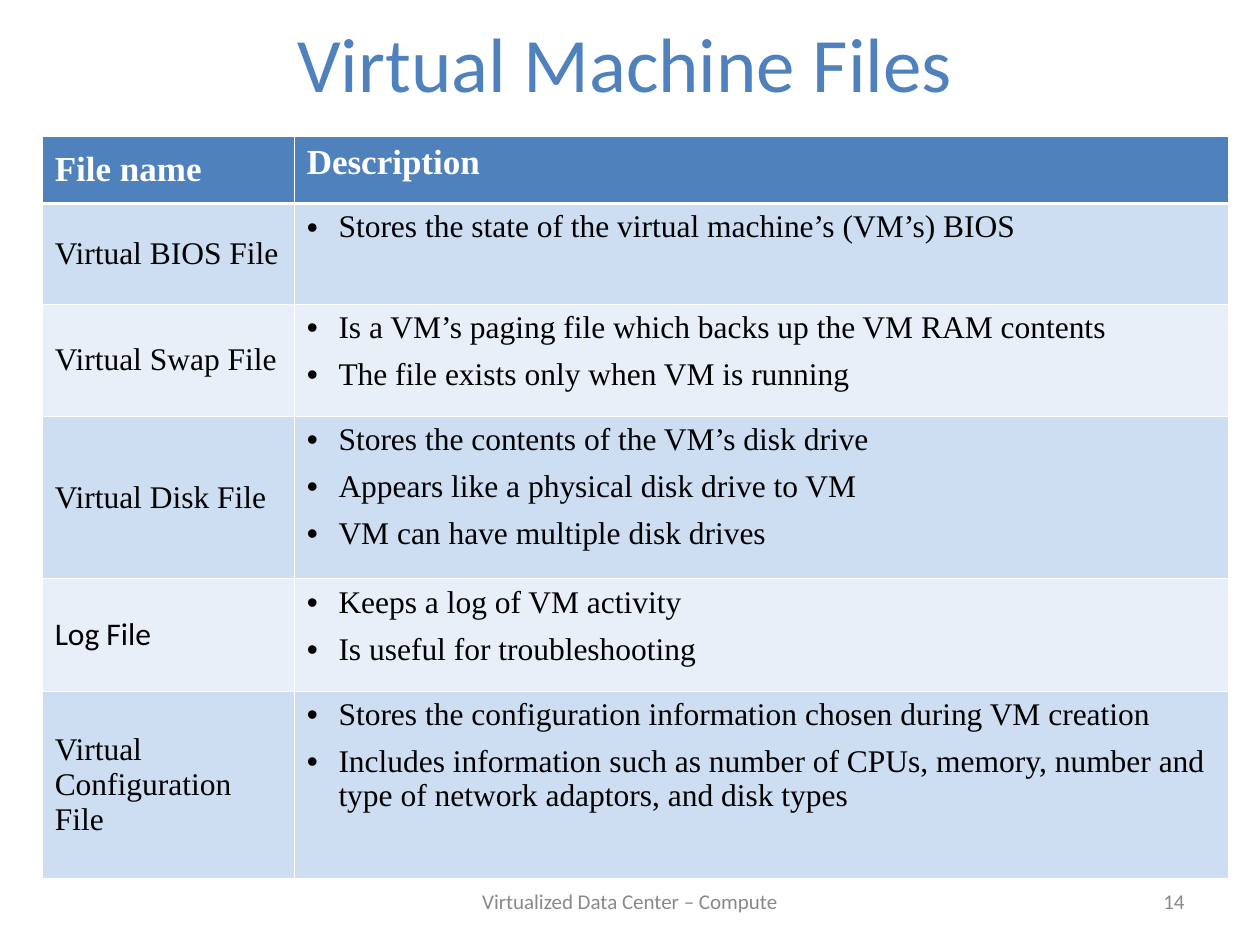
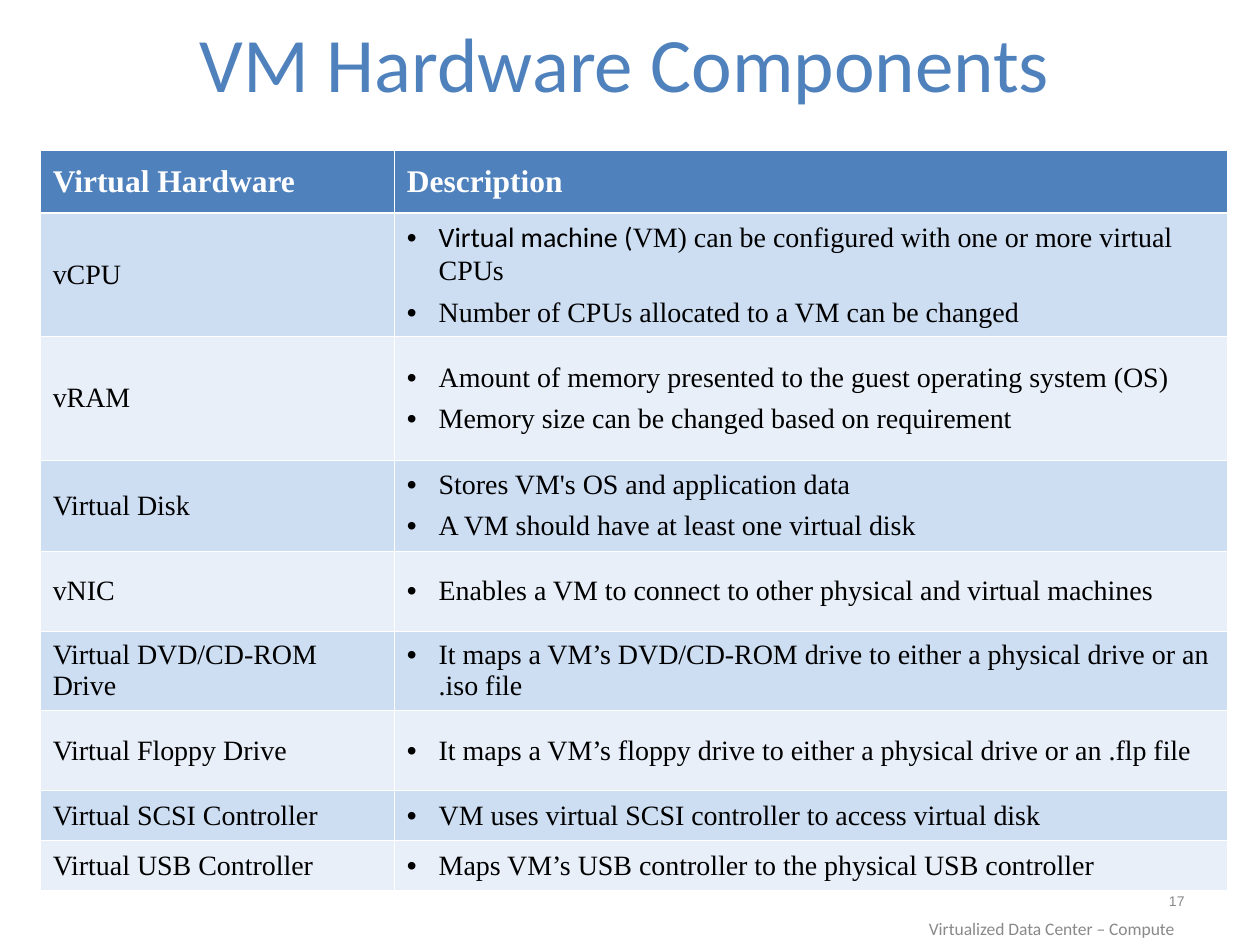
from lxml import etree
from pptx import Presentation
from pptx.dml.color import RGBColor
from pptx.enum.text import MSO_ANCHOR, PP_ALIGN
from pptx.oxml.ns import qn
from pptx.util import Cm, Pt

MIDDLE, TOP, BOTTOM = MSO_ANCHOR.MIDDLE, MSO_ANCHOR.TOP, MSO_ANCHOR.BOTTOM
LEFT, CENTER, RIGHT = PP_ALIGN.LEFT, PP_ALIGN.CENTER, PP_ALIGN.RIGHT

SANS, SERIF = "Calibri", "Times New Roman"
COLORS = {
    "accent": "4F81BD",
    "header_text": "FFFFFF",
    "body_text": "000000",
    "footer": "898989",
    "border": "FFFFFF",
    "band_dark": "CDDDF2",
    "band_light": "E8EFF9",
}
TITLE_BOX = (0.85, 0.2, 23.5, 2.1)
NUMBER_BOX = (18.2, 17.65, 5.93, 1.02)
FOOTER_TEXT = "Virtualized Data Center – Compute"
BULLET_INDENT = Cm(0.64)
THIN, THICK = Pt(0.45), Pt(1.47)

SLIDES = [
    {
        "title": "Virtual Machine Files",
        "position": (0.85, 2.75),
        "columns": (5.08, 18.84),
        "header": ("File name", "Description"),
        "header_height": 1.35,
        "header_size": 20,
        "body_size": 18,
        "space_before": 6.8,
        "description_anchor": TOP,
        "rows": [
            (2.03, "Virtual BIOS File", ["Stores the state of the virtual machine’s (VM’s) BIOS"]),
            (2.26, "Virtual Swap File", [
                "Is a VM’s paging file which backs up the VM RAM contents",
                "The file exists only when VM is running",
            ]),
            (3.28, "Virtual Disk File", [
                "Stores the contents of the VM’s disk drive",
                "Appears like a physical disk drive to VM",
                "VM can have multiple disk drives",
            ]),
            (2.26, [("Log File", SANS)], [
                "Keeps a log of VM activity",
                "Is useful for troubleshooting",
            ]),
            (3.78, "Virtual Configuration File", [
                "Stores the configuration information chosen during VM creation",
                "Includes information such as number of CPUs, memory, number and type of network "
                "adaptors, and disk types",
            ]),
        ],
        "number": ("14", 12, SANS),
        "footer": ((8.68, 17.65, 8.04, 1.02), 12, CENTER, MIDDLE),
    },
    {
        "title": "VM Hardware Components",
        "position": (0.81, 3.03),
        "columns": (7.14, 16.79),
        "header": ("Virtual Hardware", "Description"),
        "header_height": 1.26,
        "header_size": 18,
        "body_size": 16,
        "space_before": 6,
        "description_anchor": MIDDLE,
        "rows": [
            (2.49, "vCPU", [
                [("Virtual machine (", SANS),
                 ("VM) can be configured with one or more virtual CPUs", SERIF)],
                "Number of CPUs allocated to a VM can be changed",
            ]),
            (2.49, "vRAM", [
                "Amount of memory presented to the guest operating system (OS)",
                "Memory size can be changed based on requirement",
            ]),
            (1.83, "Virtual Disk", [
                "Stores VM's OS and application data",
                "A VM should have at least one virtual disk",
            ]),
            (1.61, "vNIC", ["Enables a VM to connect to other physical and virtual machines"]),
            (1.61, "Virtual DVD/CD-ROM Drive", [
                "It maps a VM’s DVD/CD-ROM drive to either a physical drive or an .iso file",
            ]),
            (1.61, "Virtual Floppy Drive", [
                "It maps a VM’s floppy drive to either a physical drive or an .flp file",
            ]),
            (1.01, "Virtual SCSI Controller", [
                "VM uses virtual SCSI controller to access virtual disk",
            ]),
            (1.01, "Virtual USB Controller", [
                "Maps VM’s USB controller to the physical USB controller",
            ]),
        ],
        "number": ("17", 8, "Arial"),
        "footer": ((12.28, 18.42, 11.64, 0.64), 10, RIGHT, BOTTOM),
    },
]


def write_paragraph(paragraph, content, size, color, alignment=LEFT, font=SERIF, bold=False):
    paragraph.alignment = alignment
    runs = [(content, font)] if isinstance(content, str) else content
    for text, run_font in runs:
        run = paragraph.add_run()
        run.text = text
        run.font.name = run_font
        run.font.size = Pt(size)
        run.font.bold = bold
        run.font.color.rgb = RGBColor.from_string(COLORS[color])


def style_cell(cell, fill, anchor, top=THIN, bottom=THIN):
    cell.vertical_anchor = anchor
    properties = cell._tc.get_or_add_tcPr()
    for side, width in (("lnL", THIN), ("lnR", THIN), ("lnT", top), ("lnB", bottom)):
        line = etree.SubElement(properties, qn(f"a:{side}"), w=str(int(width)))
        line_fill = etree.SubElement(line, qn("a:solidFill"))
        etree.SubElement(line_fill, qn("a:srgbClr"), val=COLORS["border"])
    cell.fill.solid()
    cell.fill.fore_color.rgb = RGBColor.from_string(COLORS[fill])


presentation = Presentation()
presentation.slide_width = Cm(25.4)
presentation.slide_height = Cm(19.05)

for page in SLIDES:
    slide = presentation.slides.add_slide(presentation.slide_layouts[6])

    heights = [page["header_height"]] + [row[0] for row in page["rows"]]
    left, top = page["position"]
    table = slide.shapes.add_table(
        len(heights), 2, Cm(left), Cm(top), Cm(sum(page["columns"])), Cm(sum(heights))
    ).table
    table.first_row = False
    table.horz_banding = False
    for column, width in zip(table.columns, page["columns"]):
        column.width = Cm(width)
    for table_row, height in zip(table.rows, heights):
        table_row.height = Cm(height)

    for index, heading in enumerate(page["header"]):
        cell = table.cell(0, index)
        anchor = page["description_anchor"] if index else MIDDLE
        style_cell(cell, "accent", anchor, bottom=THICK)
        write_paragraph(cell.text_frame.paragraphs[0], heading, page["header_size"],
                        "header_text", bold=True)

    for index, (height, name, descriptions) in enumerate(page["rows"], 1):
        fill = "band_dark" if index % 2 else "band_light"
        top_border = THICK if index == 1 else THIN
        name_cell, description_cell = table.cell(index, 0), table.cell(index, 1)
        style_cell(name_cell, fill, MIDDLE, top=top_border)
        style_cell(description_cell, fill, page["description_anchor"], top=top_border)
        write_paragraph(name_cell.text_frame.paragraphs[0], name, page["body_size"], "body_text")

        frame = description_cell.text_frame
        for position, description in enumerate(descriptions):
            paragraph = frame.add_paragraph() if position else frame.paragraphs[0]
            if position:
                paragraph.space_before = Pt(page["space_before"])
            properties = paragraph._p.get_or_add_pPr()
            properties.set("marL", str(int(BULLET_INDENT)))
            properties.set("indent", str(-int(BULLET_INDENT)))
            bullet_color = etree.SubElement(properties, qn("a:buClr"))
            etree.SubElement(bullet_color, qn("a:srgbClr"), val=COLORS["body_text"])
            etree.SubElement(properties, qn("a:buFont"), typeface="Arial")
            etree.SubElement(properties, qn("a:buChar"), char="•")
            write_paragraph(paragraph, description, page["body_size"], "body_text")

    number, number_size, number_font = page["number"]
    footer_box, footer_size, footer_alignment, footer_anchor = page["footer"]
    for box, text, size, color, alignment, font, anchor in (
        (TITLE_BOX, page["title"], 44, "accent", CENTER, SANS, MIDDLE),
        (footer_box, FOOTER_TEXT, footer_size, "footer", footer_alignment, SANS, footer_anchor),
        (NUMBER_BOX, number, number_size, "footer", RIGHT, number_font, MIDDLE),
    ):
        frame = slide.shapes.add_textbox(*map(Cm, box)).text_frame
        frame.word_wrap = True
        frame.vertical_anchor = anchor
        write_paragraph(frame.paragraphs[0], text, size, color, alignment, font)

presentation.save("out.pptx")
